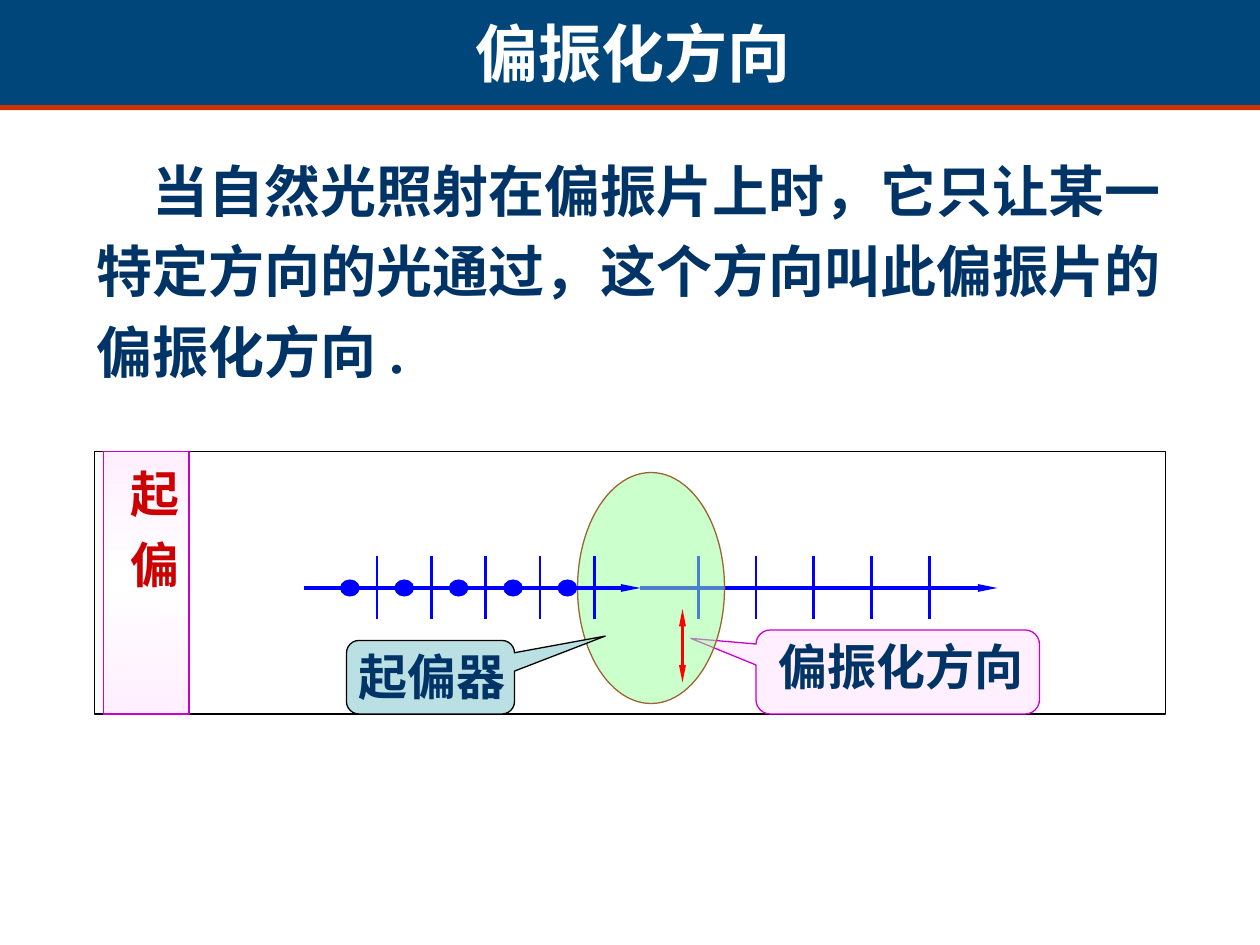
"""Build the slide on the direction of polarization."""
from lxml import etree
from pptx import Presentation
from pptx.dml.color import RGBColor
from pptx.enum.shapes import MSO_CONNECTOR, MSO_SHAPE
from pptx.enum.text import MSO_ANCHOR, MSO_AUTO_SIZE, PP_ALIGN
from pptx.oxml.ns import qn
from pptx.util import Inches, Pt

RECT, OVAL = MSO_SHAPE.RECTANGLE, MSO_SHAPE.OVAL
CALLOUT = MSO_SHAPE.ROUNDED_RECTANGULAR_CALLOUT
STRAIGHT = MSO_CONNECTOR.STRAIGHT
TOP = MSO_ANCHOR.TOP
LEFT, CENTER = PP_ALIGN.LEFT, PP_ALIGN.CENTER
NO_FIT = MSO_AUTO_SIZE.NONE
COLS, ROWS = 120, 90
SERIF, SANS = "Times New Roman", "Arial"
COLORS = {
    "band": "00467A", "rule": "CC3300", "white": "FFFFFF", "black": "000000",
    "navy": "003366", "ray": "0000FF", "red": "FF0000", "label": "CC0000",
    "pink": "FFEFFF", "magenta": "CC00CC", "teal": "BBE0E3",
    "green": "99FF99", "brown": "996633",
}


class Deck:
    def __init__(self):
        self.prs = Presentation()
        self.prs.slide_width, self.prs.slide_height = Inches(10), Inches(7.5)
        self.s = self.prs.slides.add_slide(self.prs.slide_layouts[1])

    def grid(self, x, y):
        return (int(self.prs.slide_width * x / COLS),
                int(self.prs.slide_height * y / ROWS))

    def color(self, name):
        return RGBColor.from_string(COLORS[name])

    def shape(self, kind, x, y, w, h, fill, line=None, adj=()):
        sp = self.s.shapes.add_shape(kind, *self.grid(x, y), *self.grid(w, h))
        sp.shadow.inherit = False
        sp.fill.solid()
        sp.fill.fore_color.rgb = self.color(fill)
        if line:
            sp.line.color.rgb = self.color(line)
            sp.line.width = Pt(0.75)
        else:
            sp.line.fill.background()
        for i, value in enumerate(adj):
            sp.adjustments[i] = value
        return sp

    def gradient(self, sp, names):
        sp.fill.gradient()
        gs_lst = sp.element.spPr.find(qn("a:gradFill")).find(qn("a:gsLst"))
        for gs in list(gs_lst):
            gs_lst.remove(gs)
        for i, name in enumerate(names):
            pos = str(100000 * i // (len(names) - 1))
            gs = etree.SubElement(gs_lst, qn("a:gs"), pos=pos)
            etree.SubElement(gs, qn("a:srgbClr"), val=COLORS[name])
        sp.fill.gradient_angle = 90

    def fade(self, sp, percent):
        clr = sp.element.spPr.find(qn("a:solidFill"))[0]
        etree.SubElement(clr, qn("a:alpha"), val=str(percent * 1000))

    def line(self, x1, y1, x2, y2, color="ray", width=1.5, ends=()):
        ln = self.s.shapes.add_connector(
            STRAIGHT, *self.grid(x1, y1), *self.grid(x2, y2))
        ln.line.color.rgb = self.color(color)
        ln.line.width = Pt(width)
        for end in ends:
            etree.SubElement(ln.element.spPr.find(qn("a:ln")), qn(f"a:{end}"),
                             type="triangle", w="sm", len="lg")
        etree.SubElement(ln.element.spPr, qn("a:effectLst"))

    def set_text(self, sp, text, size, color, font=SERIF, align=LEFT, wrap=True):
        tf = sp.text_frame
        tf.text = text
        tf.word_wrap, tf.auto_size, tf.vertical_anchor = wrap, NO_FIT, TOP
        p = tf.paragraphs[0]
        p.alignment, p.space_before = align, Pt(0)
        f = p.runs[0].font
        f.name, f.size, f.bold = font, Pt(size), True
        f.color.rgb = self.color(color)
        return p

    def place(self, sp, x, y, w, h):
        sp.left, sp.top = self.grid(x, y)
        sp.width, sp.height = self.grid(w, h)

    def title(self, text, *box):
        sp = self.s.shapes.title
        self.place(sp, *box)
        self.set_text(sp, text, 36, "white", SANS, CENTER, False)
        self.s.shapes.element.append(sp.element)

    def body(self, text, *box):
        sp = self.s.placeholders[1]
        self.place(sp, *box)
        p = self.set_text(sp, text, 32, "navy")
        p.line_spacing = 1.2
        pPr = p._p.get_or_add_pPr()
        pPr.set("marL", "0")
        pPr.set("indent", str(Inches(0.44)))
        etree.SubElement(pPr, qn("a:buNone"))

    def text(self, text, x, y, w, h):
        sp = self.s.shapes.add_textbox(*self.grid(x, y), *self.grid(w, h))
        self.set_text(sp, text, 28, "navy")

    def vertical_label(self, text, *box):
        sp = self.shape(RECT, *box, "pink", "magenta")
        self.gradient(sp, ("pink", "white", "pink"))
        p = self.set_text(sp, text, 28, "label")
        p.runs[0]._r.get_or_add_rPr().set("spc", "300")
        sp.text_frame.margin_top = Inches(0.14)
        sp.element.txBody.bodyPr.set("vert", "eaVert")

    def ray(self, start, end, first_tick, step, count=5):
        self.line(start, 56, end, 56, width=2.25, ends=["tailEnd"])
        for i in range(count):
            x = first_tick + i * step
            self.line(x, 53, x, 59)

    def dots(self, first, step, count=5):
        for i in range(count):
            self.shape(OVAL, first + i * step, 55.25, 1.75, 1.5, "ray", "ray")


def main():
    d = Deck()
    d.shape(RECT, 0, 9.5, COLS, 1, "rule")
    d.shape(RECT, 0, 0, COLS, 10, "band")
    d.title("偏振化方向", 44, 0.8, 32.5, 8.4)
    d.body("当自然光照射在偏振片上时，它只让某一特定方向的光通过，"
           "这个方向叫此偏振片的偏振化方向 .", 8, 13, 107, 24.2)

    d.shape(RECT, 9, 43, 102, 25, "white", "black")
    d.vertical_label("起 偏", 9.85, 43, 8.15, 25)

    d.ray(61, 95, 66.5, 5.5)
    d.shape(CALLOUT, 72, 60, 27, 8, "pink", "magenta", (-0.73, -0.4, 0.17))
    d.text("偏振化方向", 73, 60, 35, 6.8)

    polarizer = d.shape(OVAL, 55, 45, 14, 22, "green", "brown")
    d.fade(polarizer, 50)
    d.line(65, 65, 65, 58, "red", ends=["headEnd", "tailEnd"])

    d.ray(29, 61, 35.9, 5.18)
    d.dots(32.45, 5.18)
    d.shape(CALLOUT, 33, 61, 16, 7, "teal", "black", (1.04, -0.56, 0.17))
    d.text("起偏器", 33, 61, 23, 6.8)
    d.prs.save("out.pptx")


if __name__ == "__main__":
    main()
